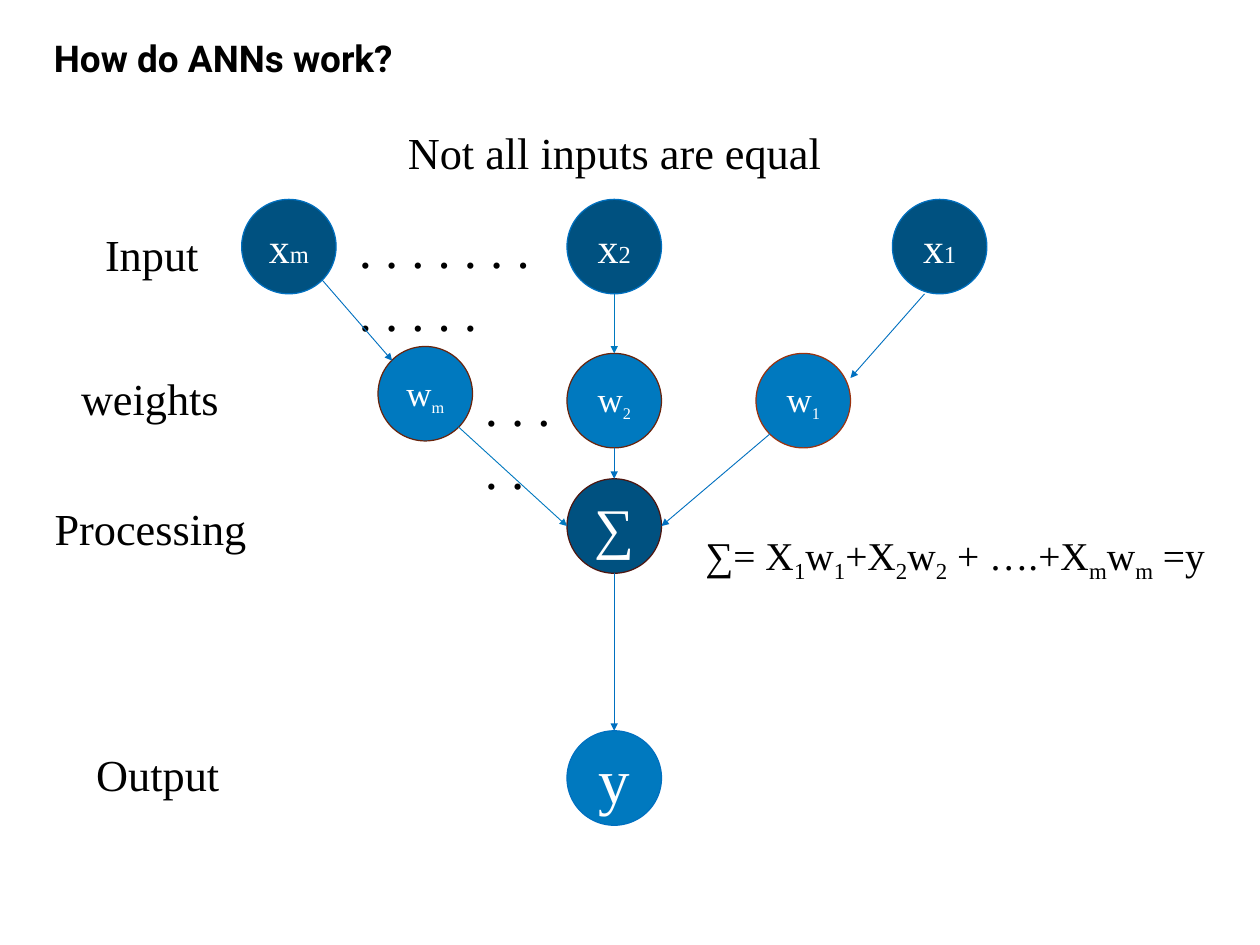
from lxml import etree
from pptx import Presentation
from pptx.dml.color import RGBColor
from pptx.enum.shapes import MSO_CONNECTOR, MSO_SHAPE
from pptx.enum.text import MSO_ANCHOR, MSO_AUTO_SIZE, PP_ALIGN
from pptx.oxml.ns import qn
from pptx.util import Inches, Pt

OVAL = MSO_SHAPE.OVAL
STRAIGHT = MSO_CONNECTOR.STRAIGHT
TOP, MIDDLE = MSO_ANCHOR.TOP, MSO_ANCHOR.MIDDLE
LEFT, CENTER = PP_ALIGN.LEFT, PP_ALIGN.CENTER
FIXED = MSO_AUTO_SIZE.NONE

BLACK = RGBColor(0x00, 0x00, 0x00)
WHITE = RGBColor(0xFF, 0xFF, 0xFF)
NAVY = RGBColor(0x00, 0x51, 0x80)
BLUE = RGBColor(0x00, 0x79, 0xBF)
EDGE_BLUE = RGBColor(0x00, 0x70, 0xC0)
DARK_BROWN = RGBColor(0x4E, 0x16, 0x10)
BROWN = RGBColor(0x69, 0x24, 0x0C)
RUST = RGBColor(0x9B, 0x32, 0x0E)

WIDTH, HEIGHT = Inches(14.22), Inches(10.67)
COLUMNS, ROWS = 40, 30
NODE = 3
TOP_SIDE, BOTTOM_SIDE = (0.5, 0), (0.5, 1)
LEFT_SIDE, RIGHT_SIDE = (0, 0.5), (1, 0.5)
UPPER_LEFT, LOWER_LEFT, LOWER_RIGHT = (0.15, 0.15), (0.15, 0.85), (0.85, 0.85)


class Diagram:
    font = "Times New Roman"
    title_font = "Roboto"

    def __init__(self, page):
        self.page = page

    def place(self, column, row, columns, rows):
        return (round(column * WIDTH / COLUMNS), round(row * HEIGHT / ROWS),
                round(columns * WIDTH / COLUMNS), round(rows * HEIGHT / ROWS))

    def fill_text(self, shape, spans, color, align, anchor, wrap):
        frame = shape.text_frame
        frame.auto_size = FIXED
        frame.word_wrap = wrap
        frame.vertical_anchor = anchor
        frame.margin_left = frame.margin_right = Inches(0.14)
        frame.margin_top = frame.margin_bottom = Inches(0.07)
        para = frame.paragraphs[0]
        para.alignment = align
        for text, size, lowered in spans:
            span = para.add_run()
            span.text = text
            span.font.name = self.font
            span.font.size = Pt(size)
            span.font.color.rgb = color
            if lowered:
                span._r.get_or_add_rPr().set("baseline", "-25000")

    def title(self, text, column, row, columns, rows):
        box = self.page.shapes.title
        box.left, box.top, box.width, box.height = self.place(column, row, columns, rows)
        frame = box.text_frame
        frame.auto_size = FIXED
        frame.vertical_anchor = TOP
        para = frame.paragraphs[0]
        para.alignment = LEFT
        para.line_spacing = 0.9
        span = para.add_run()
        span.text = text
        span.font.name = self.title_font
        span.font.size = Pt(30)
        span.font.bold = True
        span.font.color.rgb = BLACK

    def label(self, spans, column, row, columns, rows=2.11, align=CENTER):
        box = self.page.shapes.add_textbox(*self.place(column, row, columns, rows))
        self.fill_text(box, spans, BLACK, align, TOP, True)

    def node(self, spans, column, row, fill, edge):
        circle = self.page.shapes.add_shape(OVAL, *self.place(column, row, NODE, NODE))
        circle.shadow.inherit = False
        circle.fill.solid()
        circle.fill.fore_color.rgb = fill
        circle.line.color.rgb = edge
        circle.line.width = Pt(1)
        self.fill_text(circle, spans, WHITE, CENTER, MIDDLE, False)
        return circle

    def point(self, circle, share):
        across, down = share
        return (round(circle.left + across * circle.width),
                round(circle.top + down * circle.height))

    def arrow(self, source, source_share, target, target_share, color=EDGE_BLUE):
        arrow = self.page.shapes.add_connector(
            STRAIGHT, *self.point(source, source_share), *self.point(target, target_share))
        if target_share == TOP_SIDE:
            arrow.end_connect(target, 0)
        arrow.line.color.rgb = color
        arrow.line.width = Pt(0.75)
        outline = arrow.line._get_or_add_ln()
        etree.SubElement(outline, qn("a:tailEnd"), type="triangle")
        etree.SubElement(arrow._element.spPr, qn("a:effectLst"))


def main():
    deck = Presentation()
    deck.slide_width, deck.slide_height = WIDTH, HEIGHT
    diagram = Diagram(deck.slides.add_slide(deck.slide_layouts[5]))
    diagram.title("How do ANNs work?", 1.43, 1.15, 25.06, 1.58)

    for text, column, row, columns in (
            ("Not all inputs are equal", 9.34, 3.77, 20.34),
            ("Input", 0.82, 7.03, 8),
            ("weights", 0.76, 11.59, 8),
            ("Processing", 0, 15.72, 9.56),
            ("Output", 0.34, 23.52, 9.34)):
        diagram.label([(text, 36, False)], column, row, columns)

    inputs = {}
    for index, column in (("1", 28.33), ("2", 18), ("m", 7.67)):
        spans = [("x", 34.1, False), (index, 19.9, False)]
        inputs[index] = diagram.node(spans, column, 6.33, NAVY, EDGE_BLUE)

    weights = {}
    for index, column, row, edge in (
            ("1", 24, 11.22, RUST), ("2", 18, 11.22, BROWN), ("m", 12, 11, BROWN)):
        spans = [("w", 28.4, False), (index, 22.8, True)]
        weights[index] = diagram.node(spans, column, row, BLUE, edge)

    total = diagram.node([("∑", 45.5, False)], 18, 15.2, NAVY, DARK_BROWN)
    output = diagram.node([("y", 51.2, False)], 18, 23.2, BLUE, EDGE_BLUE)

    pieces = ("∑= X", "1", "w", "1", "+X", "2", "w", "2", " + ….+X", "m", "w", "m", " =y")
    formula = [(piece, 32, place % 2 == 1) for place, piece in enumerate(pieces)]
    diagram.label(formula, 22, 16.65, 17, 1.94, LEFT)

    for count, column, row, columns, rows in (
            (12, 11, 6.67, 6.33, 4.44), (5, 15, 11.67, 3, 6.47)):
        dots = " ".join("." * count)
        diagram.label([(dots, 42.7, False)], column, row, columns, rows, LEFT)

    diagram.arrow(inputs["m"], LOWER_RIGHT, weights["m"], UPPER_LEFT)
    diagram.arrow(inputs["2"], BOTTOM_SIDE, weights["2"], TOP_SIDE, BLUE)
    diagram.arrow(inputs["1"], (0.34, 1), weights["1"], (1, 0.26))
    diagram.arrow(weights["m"], LOWER_RIGHT, total, LEFT_SIDE, BLUE)
    diagram.arrow(weights["2"], BOTTOM_SIDE, total, TOP_SIDE)
    diagram.arrow(weights["1"], LOWER_LEFT, total, RIGHT_SIDE)
    diagram.arrow(total, BOTTOM_SIDE, output, TOP_SIDE)

    deck.save("out.pptx")


if __name__ == "__main__":
    main()
